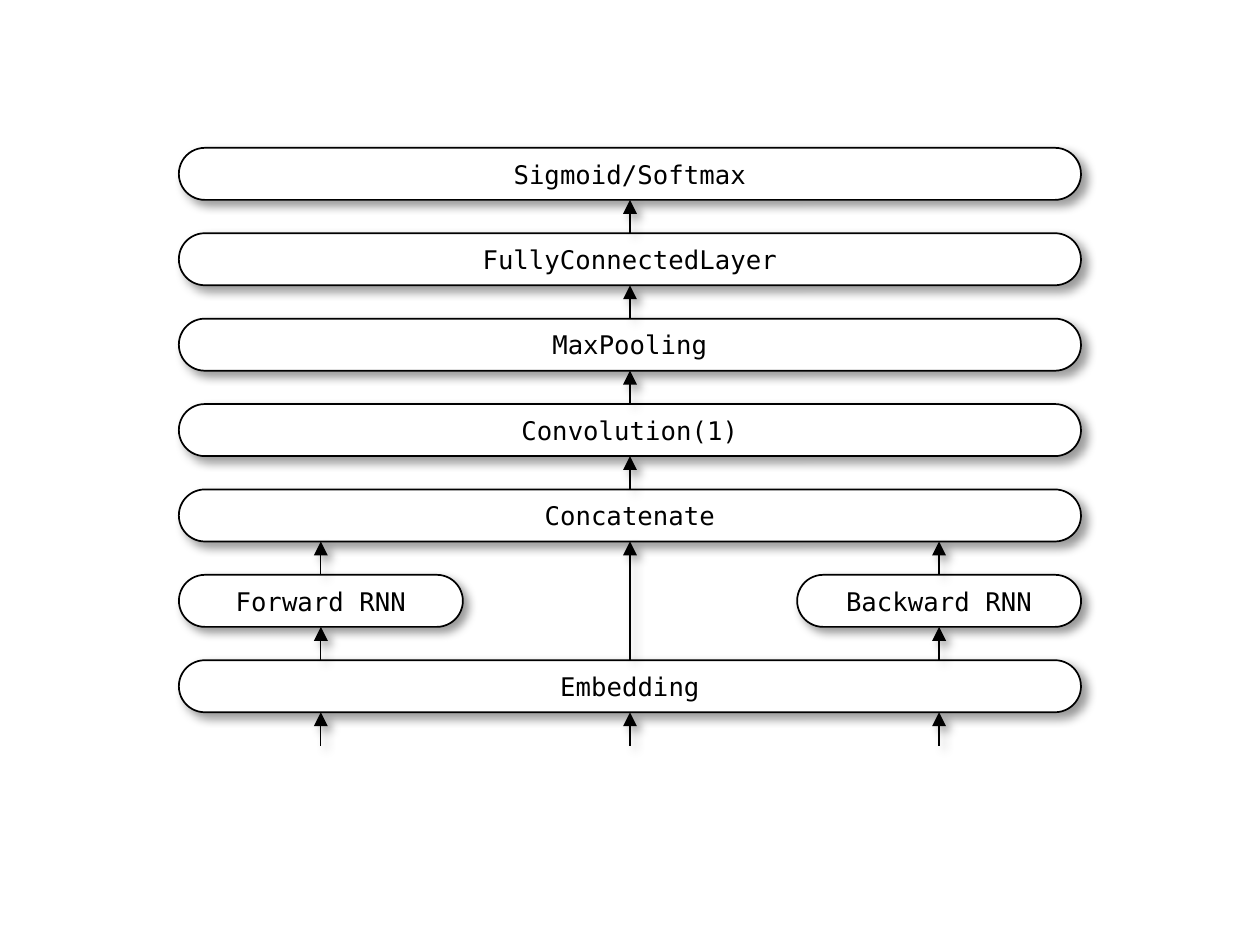
from lxml.etree import SubElement
from pptx import Presentation
from pptx.dml.color import RGBColor
from pptx.enum.shapes import MSO_CONNECTOR, MSO_SHAPE
from pptx.enum.text import MSO_ANCHOR, PP_ALIGN
from pptx.oxml import parse_xml
from pptx.oxml.ns import nsdecls, qn
from pptx.util import Inches, Pt

SLIDE_WIDTH = 7.5
SLIDE_HEIGHT = SLIDE_WIDTH * 3 / 4


def colour(hex_string):
    return RGBColor.from_string(hex_string)


class NetworkDiagram:
    ink = "000000"
    paper = "FFFFFF"
    font = "DejaVu Sans Mono"
    font_size = 11
    column_step, column_gap = 1.84, 0.15
    left = (SLIDE_WIDTH - 3 * column_step + column_gap) / 2
    top, row_step = 0.88, 3.05 / 6
    layer_height = 0.31

    def __init__(self, slide):
        self.shapes = slide.shapes.add_group_shape().shapes

    def row_top(self, row):
        return self.top + row * self.row_step

    def span_width(self, columns):
        return columns * self.column_step - self.column_gap

    def add_shadow(self, element):
        element._element.spPr.append(parse_xml(
            f'<a:effectLst {nsdecls("a")}>'
            f'<a:outerShdw blurRad="{Pt(4)}" dist="{Pt(3)}" dir="2700000" '
            'algn="ctr" rotWithShape="0">'
            f'<a:srgbClr val="{self.ink}"><a:alpha val="40000"/></a:srgbClr>'
            '</a:outerShdw></a:effectLst>'))

    def add_layer(self, label, row, column=0, columns=3):
        layer = self.shapes.add_shape(
            MSO_SHAPE.ROUNDED_RECTANGLE,
            Inches(self.left + column * self.column_step),
            Inches(self.row_top(row)),
            Inches(self.span_width(columns)),
            Inches(self.layer_height))
        layer.adjustments[0] = 0.5
        layer.fill.solid()
        layer.fill.fore_color.rgb = colour(self.paper)
        layer.line.color.rgb = colour(self.ink)
        layer.line.width = Pt(0.75)
        self.add_shadow(layer)
        frame = layer.text_frame
        frame.vertical_anchor = MSO_ANCHOR.MIDDLE
        frame.margin_top = frame.margin_bottom = 0
        caption = frame.paragraphs[0]
        caption.alignment = PP_ALIGN.CENTER
        run = caption.add_run()
        run.text = label
        run.font.name = self.font
        run.font.size = Pt(self.font_size)
        run.font.color.rgb = colour(self.ink)

    def add_arrow(self, column, from_row, to_row):
        center = Inches(self.left + column * self.column_step + self.span_width(1) / 2)
        arrow = self.shapes.add_connector(
            MSO_CONNECTOR.STRAIGHT,
            center, Inches(self.row_top(from_row)),
            center, Inches(self.row_top(to_row) + self.layer_height))
        arrow.line.color.rgb = colour(self.ink)
        arrow.line.width = Pt(0.5)
        outline = arrow._element.spPr.find(qn("a:ln"))
        SubElement(outline, qn("a:tailEnd"), type="triangle")
        self.add_shadow(arrow)


def main():
    presentation = Presentation()
    presentation.slide_width = Inches(SLIDE_WIDTH)
    presentation.slide_height = Inches(SLIDE_HEIGHT)
    diagram = NetworkDiagram(presentation.slides.add_slide(presentation.slide_layouts[6]))

    top_layers = ["Sigmoid/Softmax", "FullyConnectedLayer", "MaxPooling",
                  "Convolution(1)", "Concatenate"]
    concatenate_row = len(top_layers) - 1
    rnn_row = concatenate_row + 1
    embedding_row = rnn_row + 1

    diagram.add_layer("Embedding", embedding_row)
    for column in range(3):
        diagram.add_arrow(column, embedding_row + 1, embedding_row)

    for column, direction in ((0, "Forward RNN"), (2, "Backward RNN")):
        diagram.add_layer(direction, rnn_row, column, 1)
        diagram.add_arrow(column, embedding_row, rnn_row)

    for row, label in enumerate(top_layers):
        diagram.add_layer(label, row)

    for column in (0, 2):
        diagram.add_arrow(column, rnn_row, concatenate_row)
    diagram.add_arrow(1, embedding_row, concatenate_row)
    for row in range(concatenate_row):
        diagram.add_arrow(1, row + 1, row)

    presentation.save("out.pptx")


if __name__ == "__main__":
    main()
